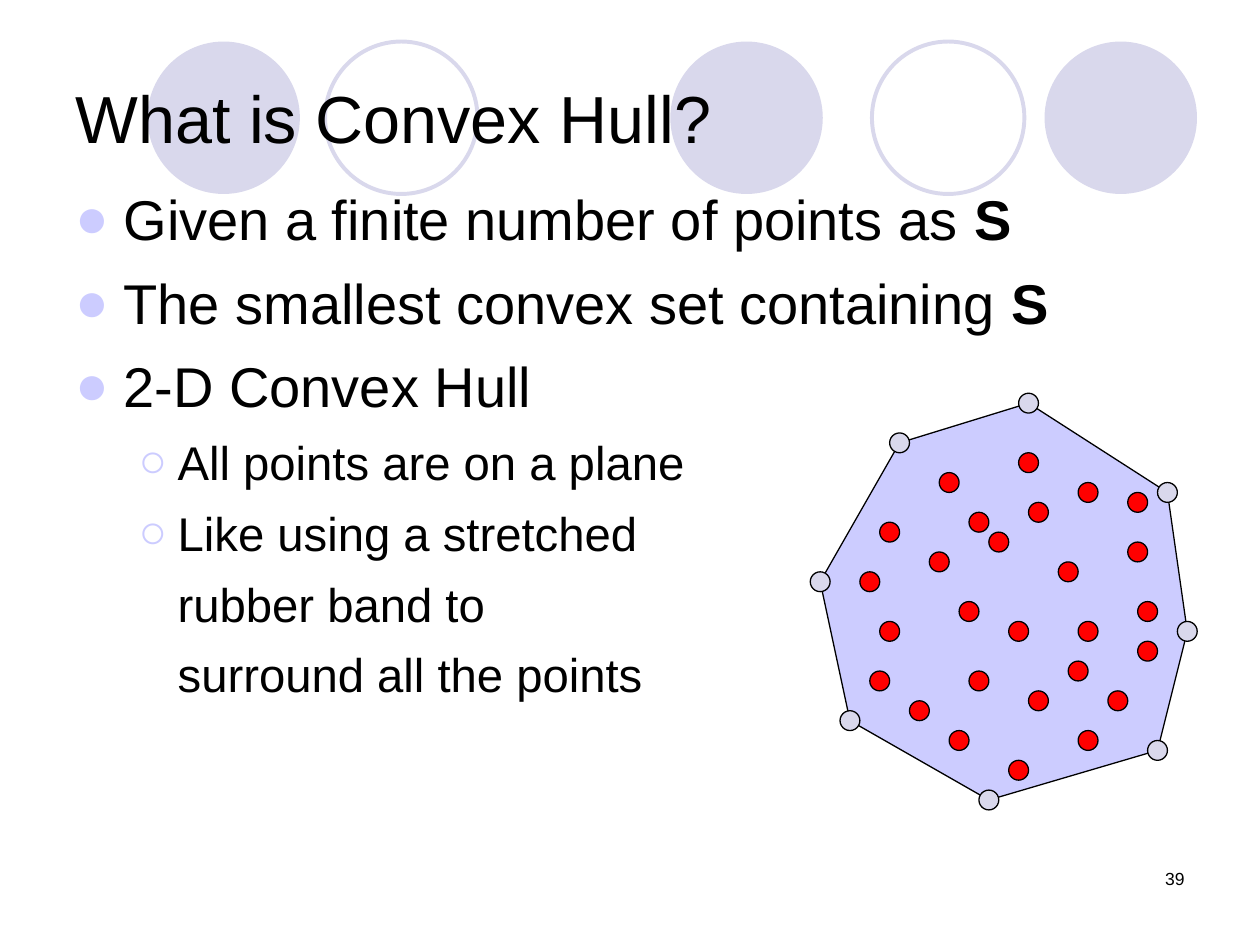
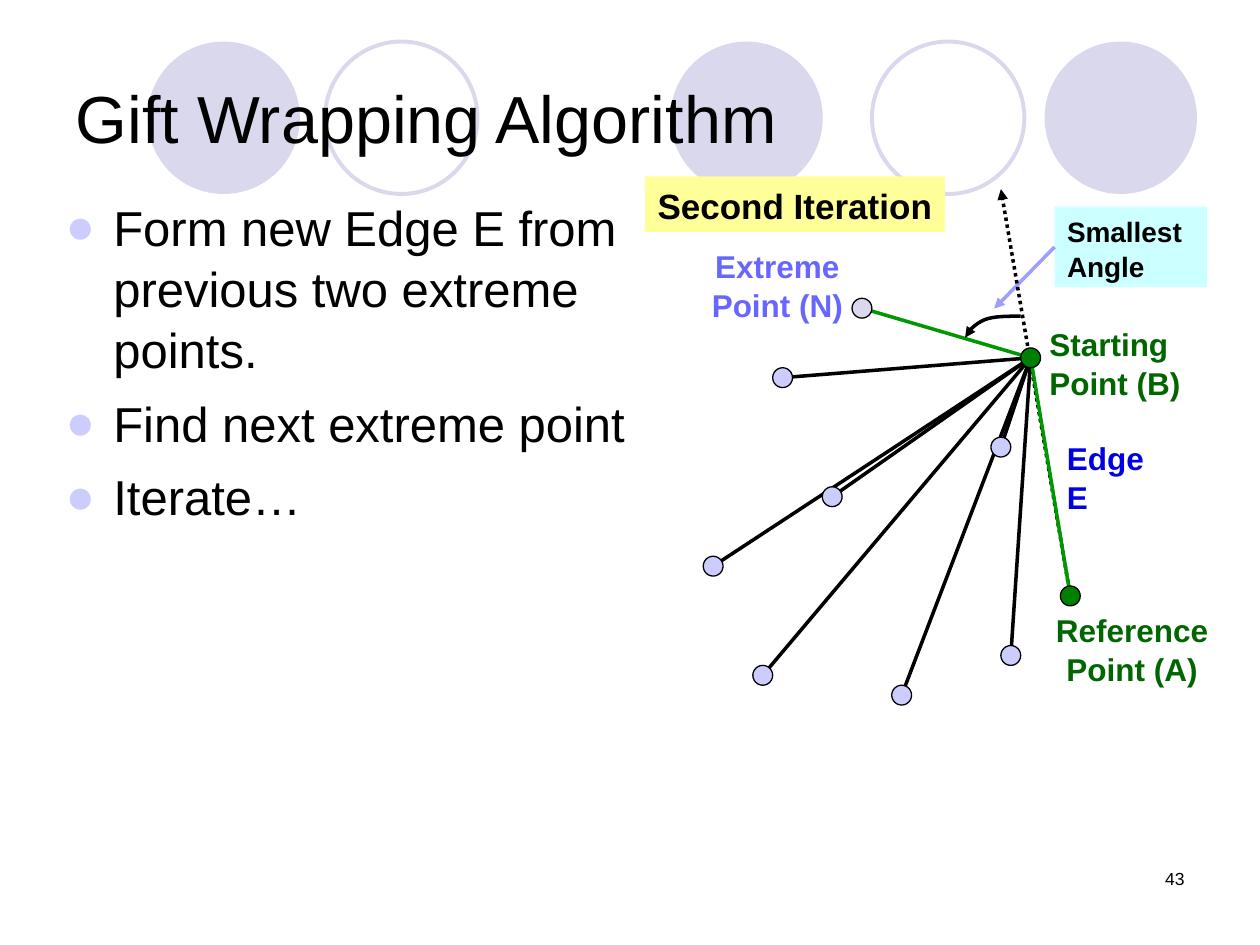
from lxml.etree import SubElement
from pptx import Presentation
from pptx.dml.color import RGBColor
from pptx.enum.dml import MSO_LINE_DASH_STYLE as DASH
from pptx.enum.shapes import MSO_CONNECTOR as CONNECTOR, MSO_SHAPE as SHAPE
from pptx.enum.text import MSO_ANCHOR as ANCHOR, MSO_AUTO_SIZE as AUTO, PP_ALIGN as ALIGN
from pptx.oxml.ns import qn
from pptx.util import Inches, Pt

FONT = "Arial"
C = {
    "black": "000000", "band": "D9D8EC", "lilac": "CCCCFF", "red": "FF0000",
    "green": "008000", "edge": "009700", "dark_green": "006600",
    "violet": "6767FF", "pointer": "9E9EFF", "blue": "0000E5",
    "yellow": "FFFF99", "cyan": "CCFFFF",
}
WIDTH, HEIGHT = Inches(10), Inches(7.5)
UNIT = WIDTH / 100
CELL = WIDTH / 127

HULL = [(21, 0), (8, 4), (0, 18), (3, 32), (17, 40), (34, 35), (37, 23), (35, 9)]
INNER = [
    (16, 12), (21, 6), (22, 11), (27, 9), (7, 13), (13, 8), (25, 17), (18, 14),
    (7, 23), (12, 16), (32, 15), (32, 10), (15, 21), (33, 21), (22, 30), (27, 23),
    (33, 25), (6, 28), (5, 18), (10, 31), (16, 28), (27, 34), (20, 37), (14, 34),
    (20, 23), (30, 30), (26, 27),
]
START, REFERENCE, EXTREME, RAY_END = (0, 0), (4, 24), (-17, -5), (-3, -17)
CANDIDATES = [(-2, 30), (-3, 9), (-13, 34), (-27, 32), (-32, 21), (-20, 14), (-25, 2)]
ANGLE_ARC = [
    [(81, 25.1), (79.9, 25.1), (78.8, 25.1), (78.1, 25.4)],
    [(78.1, 25.4), (77.4, 25.7), (76.7, 26.4), (76.6, 26.8)],
]


def rgb(name):
    return RGBColor.from_string(C[name])


def units(*values):
    return [round(v * UNIT) for v in values]


def on_grid(origin, point):
    return [round(o * UNIT + n * CELL) for o, n in zip(origin, point)]


def style_line(sp, color, width, dash=None, arrow=False):
    sp.line.color.rgb = rgb(color)
    sp.line.width = Pt(width)
    if dash:
        sp.line.dash_style = dash
    if arrow:
        SubElement(sp.element.spPr.find(qn("a:ln")), qn("a:tailEnd"), type="triangle")


def add_shape(shapes, kind, box, fill=None, line=None, width=0.75):
    sp = shapes.add_shape(kind, *box)
    sp.shadow.inherit = False
    if fill:
        sp.fill.solid()
        sp.fill.fore_color.rgb = rgb(fill)
    else:
        sp.fill.background()
    if line:
        style_line(sp, line, width)
    else:
        sp.line.fill.background()
    return sp


def add_dot(slide, origin, point, fill):
    x, y = on_grid(origin, point)
    r = round(CELL)
    add_shape(slide.shapes, SHAPE.OVAL, (x - r, y - r, 2 * r, 2 * r), fill, "black")


def add_line(slide, start, end, color, **style):
    line = slide.shapes.add_connector(CONNECTOR.STRAIGHT, *start, *end)
    SubElement(line.element.spPr, qn("a:effectLst"))
    style_line(line, color, 2, **style)
    return line


def add_freeform(slide, points, close):
    builder = slide.shapes.build_freeform(*points[0])
    builder.add_line_segments(points[1:], close=close)
    sp = builder.convert_to_shape()
    sp.shadow.inherit = False
    return sp


def bezier(curve, steps=8):
    for i in range(steps + 1):
        t = i / steps
        weights = ((1 - t) ** 3, 3 * t * (1 - t) ** 2, 3 * t * t * (1 - t), t ** 3)
        yield units(*(sum(w * n for w, n in zip(weights, axis)) for axis in zip(*curve)))


def style_paragraph(p, size, color="black", bold=False, align=ALIGN.LEFT):
    p.alignment = align
    for r in p.runs:
        r.font.name, r.font.size, r.font.bold = FONT, Pt(size), bold
        r.font.color.rgb = rgb(color)


def write(sp, text, size, color="black", bold=True, align=ALIGN.LEFT, wrap=False):
    tf = sp.text_frame
    tf.text = text
    tf.word_wrap = wrap
    tf.vertical_anchor = ANCHOR.TOP
    for p in tf.paragraphs:
        style_paragraph(p, size, color, bold, align)
        p.line_spacing = 1.04


def add_label(slide, text, box, size=18, color="black", fill=None, **style):
    if fill:
        sp = add_shape(slide.shapes, SHAPE.RECTANGLE, units(*box), fill)
    else:
        sp = slide.shapes.add_textbox(*units(*box))
    write(sp, text, size, color, **style)
    return sp


def place(sp, box):
    sp.left, sp.top, sp.width, sp.height = units(*box)
    sp.text_frame.word_wrap = True
    sp.text_frame.auto_size = AUTO.NONE


def set_bullet(p, mark, margin, hang):
    pPr = p._p.get_or_add_pPr()
    pPr.set("marL", str(Inches(margin)))
    pPr.set("indent", str(-Inches(hang) if mark else 0))
    if mark:
        SubElement(SubElement(pPr, qn("a:buClr")), qn("a:srgbClr"), val=C["lilac"])
        SubElement(pPr, qn("a:buFont"), typeface=FONT)
        SubElement(pPr, qn("a:buChar"), char=mark)
    else:
        SubElement(pPr, qn("a:buNone"))


def fill_body(slide, box, items):
    body = slide.placeholders[1]
    place(body, box)
    tf = body.text_frame
    for i, (mark, size, text, strong) in enumerate(items):
        p = tf.add_paragraph() if i else tf.paragraphs[0]
        p.text = text
        top_level = mark == "●"
        p.level = 0 if top_level else 1
        set_bullet(p, mark, *((0.38, 0.38) if top_level else (0.81, 0.31)))
        if strong:
            p.add_run().text = strong
        style_paragraph(p, size)
        if strong:
            p.runs[-1].font.bold = True
        p.space_before = Pt(size / 4 if i else 0)
        p.line_spacing = 1.04


def add_band(slide, layout):
    band = slide.shapes.add_group_shape()
    for x, solid in ((53.2, True), (82.9, True), (11.7, True), (69.2, False), (25.8, False)):
        look = {"fill": "band"} if solid else {"line": "band", "width": 2.25}
        add_shape(band.shapes, SHAPE.OVAL, units(x, 3.3, 12.1, 12.1), **look)
    for i, props in enumerate(band.element.iter(qn("p:cNvPr"))):
        props.set("id", str(100 + i))
    layout.shapes.element.insert(2, band.element)


def new_slide(prs, layout, title, number):
    slide = prs.slides.add_slide(layout)
    heading = slide.shapes.title
    place(heading, (5, 3, 90, 12.5))
    heading.text_frame.text = title
    heading.text_frame.vertical_anchor = ANCHOR.MIDDLE
    style_paragraph(heading.text_frame.paragraphs[0], 38)
    add_label(slide, number, (71.7, 68.3, 23.3, 5), 10, bold=False,
              align=ALIGN.RIGHT, wrap=True)
    return slide


def draw_hull(slide):
    origin = (65.1, 32)
    hull = add_freeform(slide, [on_grid(origin, n) for n in HULL], True)
    hull.fill.solid()
    hull.fill.fore_color.rgb = rgb("lilac")
    style_line(hull, "black", 0.75)
    for points, fill in ((HULL, "band"), (INNER, "red")):
        for point in points:
            add_dot(slide, origin, point, fill)


def draw_wrapping(slide):
    origin = (81.8, 28.4)
    angle = add_label(slide, "Smallest Angle", (83.7, 16.4, 12.1, 6.4), 16,
                      fill="cyan", wrap=True)
    pointer = add_line(slide, units(83.7, 19.6), units(78.9, 24.5), "pointer", arrow=True)
    pointer.begin_connect(angle, 1)

    start, reference = on_grid(origin, START), on_grid(origin, REFERENCE)
    add_line(slide, start, on_grid(origin, EXTREME), "edge")
    for point in CANDIDATES:
        add_line(slide, start, on_grid(origin, point), "black")
    add_line(slide, reference, on_grid(origin, RAY_END), "black",
             dash=DASH.ROUND_DOT, arrow=True)
    add_line(slide, reference, start, "edge")
    for point in CANDIDATES:
        add_dot(slide, origin, point, "lilac")
    add_dot(slide, origin, EXTREME, "band")
    for point in (START, REFERENCE):
        add_dot(slide, origin, point, "green")

    arc = add_freeform(slide, [n for curve in ANGLE_ARC for n in bezier(curve)], False)
    arc.fill.background()
    style_line(arc, "black", 2, arrow=True)

    add_label(slide, "Starting\nPoint (B)", (82.3, 25.2, 12.4, 7), color="dark_green")
    add_label(slide, "Extreme\nPoint (N)", (55.5, 19, 12.4, 7), color="violet",
              align=ALIGN.CENTER)
    add_label(slide, "Reference\nPoint (A)", (82.8, 47.9, 14.1, 7), color="dark_green",
              align=ALIGN.CENTER)
    add_label(slide, "Second Iteration", (51.2, 14, 23.8, 4.4), 20, fill="yellow")
    add_label(slide, "Edge E", (83.7, 34.2, 10.4, 4), color="blue")


def main():
    prs = Presentation()
    prs.slide_width, prs.slide_height = WIDTH, HEIGHT
    layout = prs.slide_layouts[1]

    s = new_slide(prs, layout, "What is Convex Hull?", "39")
    add_band(s, layout)
    fill_body(s, (5, 13.9, 93, 54.3), [
        ("●", 32, "Given a finite number of points as ", "S"),
        ("●", 32, "The smallest convex set containing ", "S"),
        ("●", 32, "2-D Convex Hull", None),
        ("○", 27, "All points are on a plane", None),
        ("○", 27, "Like using a stretched", None),
        (None, 27, "rubber band to", None),
        (None, 27, "surround all the points", None),
    ])
    draw_hull(s)

    s = new_slide(prs, layout, "Gift Wrapping Algorithm", "43")
    fill_body(s, (4.2, 15, 48.5, 57.5), [
        ("●", 28, "Form new Edge E from previous two extreme points.", None),
        ("●", 28, "Find next extreme point", None),
        ("●", 28, "Iterate…", None),
    ])
    draw_wrapping(s)

    prs.save("out.pptx")


if __name__ == "__main__":
    main()
